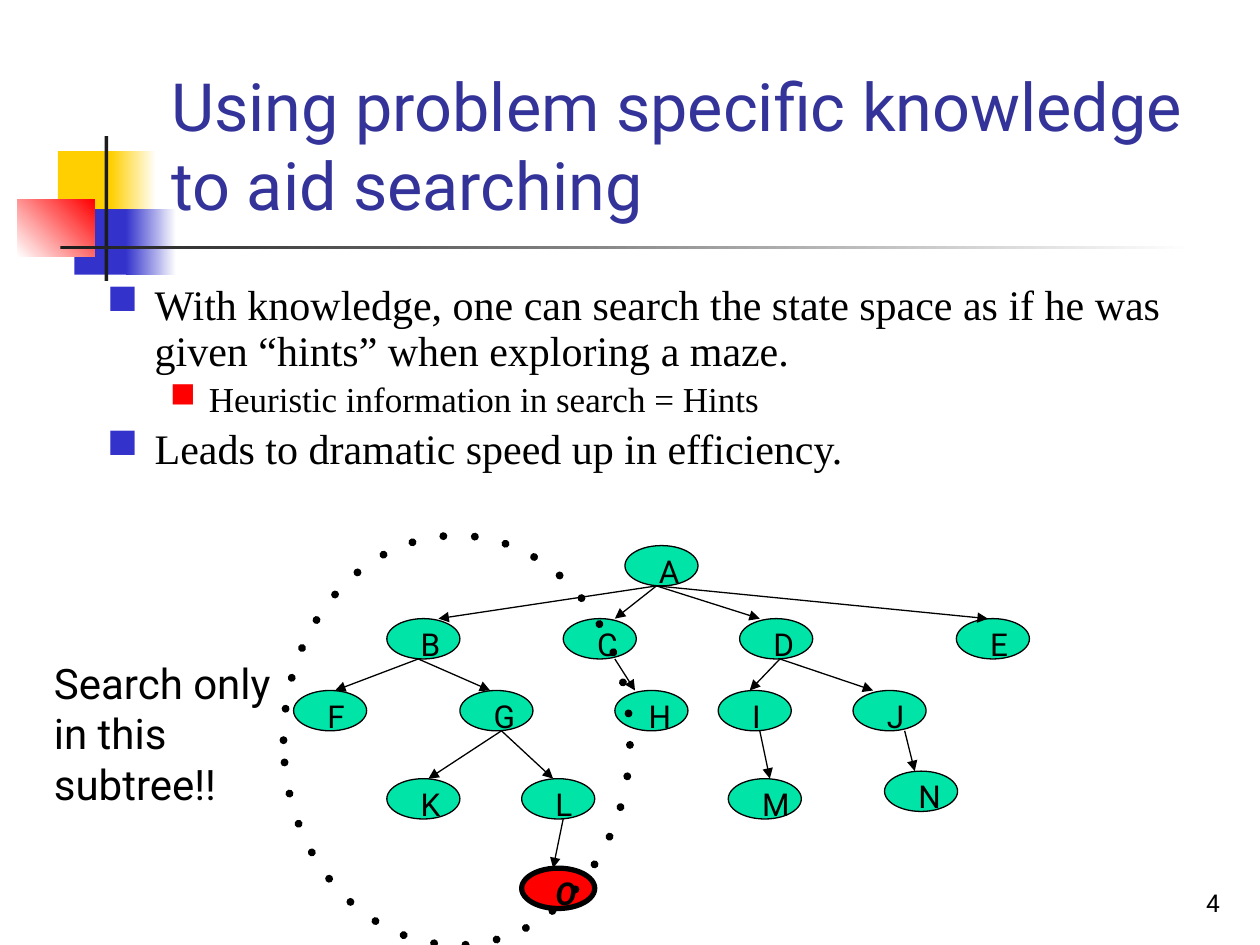
"""Build the slide on problem-specific knowledge, with its search tree."""
from lxml import etree
from pptx import Presentation, util as u
from pptx.dml.color import RGBColor
from pptx.enum import dml, shapes, text
from pptx.oxml.ns import qn

PX = 9144
C = {"yellow": "FFCF01", "blue": "3333CC", "red": "FF0000", "white": "FFFFFF", "dark": "1C1C1C",
     "title": "333399", "black": "000000", "node": "00E4A8"}


def write(tf, words, size=18, font="Roboto", color="black", bold=None, italic=None,
          align=text.PP_ALIGN.LEFT, anchor=text.MSO_ANCHOR.TOP):
    tf.word_wrap, tf.auto_size, tf.vertical_anchor = True, text.MSO_AUTO_SIZE.NONE, anchor
    p = tf.paragraphs[0]
    if p.runs:
        p = tf.add_paragraph()
    p.alignment = align
    r = p.add_run()
    r.text = words
    f = r.font
    f.size, f.name, f.bold, f.italic = u.Pt(size), font, bold, italic
    f.color.rgb = RGBColor.from_string(C[color])
    return p


def shape(kind, box, colors, line=None):
    sp = s.shapes.add_shape(kind, *[v * PX for v in box])
    sp.shadow.inherit = False
    if len(colors) == 2:
        sp.fill.gradient()
        sp.fill.gradient_angle = 45 if colors[0] == "white" else 0
        for stop, name in zip(sp.fill.gradient_stops, colors):
            stop.color.rgb = RGBColor.from_string(C[name])
    elif colors:
        sp.fill.solid()
        sp.fill.fore_color.rgb = RGBColor.from_string(C[colors[0]])
    else:
        sp.fill.background()
    if line:
        sp.line.width = u.Pt(line)
        sp.line.color.rgb = RGBColor.from_string(C["black"])
    else:
        sp.line.fill.background()
    return sp


prs = Presentation()
prs.slide_width, prs.slide_height = 1000 * PX, 750 * PX
s = prs.slides.add_slide(prs.slide_layouts[5])
RECT, OVAL = shapes.MSO_SHAPE.RECTANGLE, shapes.MSO_SHAPE.OVAL

for box, colors in [
    ((46, 120, 48, 52), ["yellow"]),
    ((88, 120, 36, 52), ["yellow", "white"]),
    ((59, 166, 46, 52), ["blue"]),
    ((100, 166, 40, 52), ["blue", "white"]),
    ((14, 158, 61, 46), ["white", "red"]),
    ((83, 108, 3, 115), ["dark"]),
    ((48, 195, 900, 3), ["dark", "white"]),
]:
    shape(RECT, box, colors)

title = s.shapes.title
title.left, title.top, title.width, title.height = [v * PX for v in (126, 23, 852, 160)]
write(title.text_frame, "Using problem specific knowledge to aid searching", size=38,
      color="title", anchor=text.MSO_ANCHOR.BOTTOM)
s.shapes._spTree.append(title._element)

number = s.shapes.add_textbox(*[v * PX for v in (770, 683, 208, 50)])
write(number.text_frame, "4", size=14, align=text.PP_ALIGN.RIGHT, anchor=text.MSO_ANCHOR.BOTTOM)

body = s.shapes.add_textbox(*[v * PX for v in (75, 221, 904, 171)])
for words, size, level, margin, indent, before, bullet in [
    ("With knowledge, one can search the state space as if he was given “hints” "
     "when exploring a maze.", 24, 0, 38, -38, 0, "blue"),
    ("Heuristic information in search = Hints", 20, 1, 81, -31, 4, "red"),
    ("Leads to dramatic speed up in efficiency.", 24, 0, 38, -38, 4.8, "blue"),
]:
    p = write(body.text_frame, words, size=size, font="Times New Roman")
    p.level, p.line_spacing, p.space_before = level, 0.9, u.Pt(before)
    pPr = p._p.get_or_add_pPr()
    pPr.set("marL", str(margin * PX))
    pPr.set("indent", str(indent * PX))
    clr = etree.SubElement(pPr, qn("a:buClr"))
    etree.SubElement(clr, qn("a:srgbClr"), val=C[bullet])
    etree.SubElement(pPr, qn("a:buChar"), char="■")

rows = [
    (433, {"A": 496}),
    (491, {"B": 307, "C": 447, "D": 587, "E": 759}),
    (548, {"F": 233, "G": 365, "H": 488, "I": 570, "J": 677}),
    (618, {"K": 307, "L": 414, "M": 578}),
    (612, {"N": 702}),
    (689, {"O": 414}),
]
for y, nodes in rows:
    for name, x in nodes.items():
        goal = name == "O"
        shape(OVAL, (x, y, 58, 32), ["red" if goal else "node"], 3 if goal else 0.75)
        label = s.shapes.add_textbox((x + 17) * PX, y * PX, 41 * PX, 40 * PX)
        write(label.text_frame, name, bold=goal, italic=goal)

for x1, y1, y2, ends in [
    (521, 465, 491, [348, 488, 603, 784]),
    (332, 523, 548, [266, 389]),
    (488, 523, 548, [504]),
    (619, 523, 548, [595, 693]),
    (398, 580, 618, [340, 439]),
    (603, 580, 618, [611]),
    (718, 580, 612, [726]),
    (447, 650, 689, [439]),
]:
    for x2 in ends:
        cx = s.shapes.add_connector(shapes.MSO_CONNECTOR.STRAIGHT, x1 * PX, y1 * PX, x2 * PX, y2 * PX)
        cx.line.width = u.Pt(0.75)
        cx.line.color.rgb = RGBColor.from_string(C["black"])
        spPr = cx._element.spPr
        etree.SubElement(spPr.find(qn("a:ln")), qn("a:tailEnd"), type="triangle")
        etree.SubElement(spPr, qn("a:effectLst"))

ring = shape(OVAL, (225, 425, 275, 325), [], 4.5)
ring.line.dash_style = dml.MSO_LINE.ROUND_DOT
ln = ring._element.spPr.find(qn("a:ln"))
ln.set("cap", "rnd")
ln.find(qn("a:prstDash")).set("val", "dot")

note = s.shapes.add_textbox(*[v * PX for v in (33, 517, 200, 130)])
write(note.text_frame, "Search only in this subtree!!", size=24)

prs.save("out.pptx")
